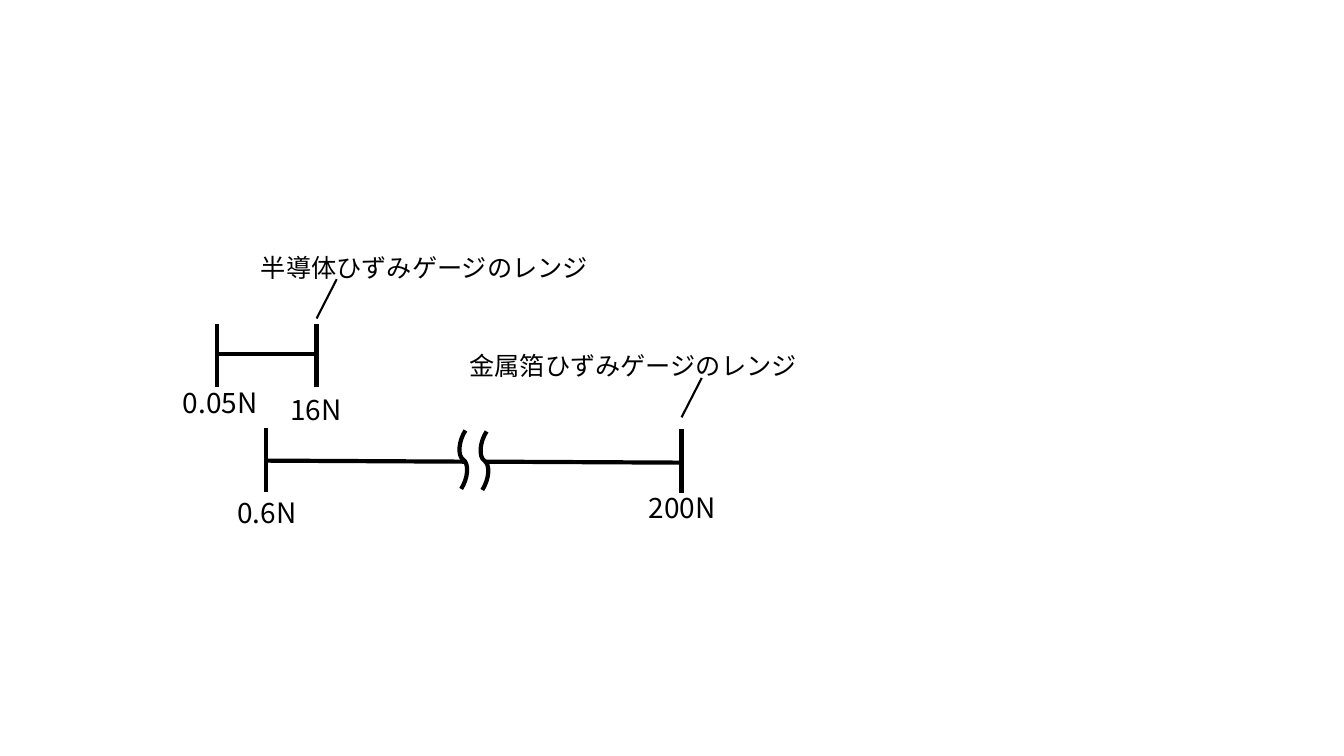
from dataclasses import dataclass

from lxml.etree import SubElement
from pptx import Presentation
from pptx.dml.color import RGBColor
from pptx.enum.shapes import MSO_CONNECTOR
from pptx.enum.text import MSO_AUTO_SIZE, PP_ALIGN
from pptx.oxml.ns import qn
from pptx.util import Inches, Pt


@dataclass(frozen=True)
class Theme:
    font: str = "Noto Sans CJK JP"
    ink: RGBColor = RGBColor(0, 0, 0)
    title_size: int = 18
    value_size: int = 20
    range_width: float = 3
    leader_width: float = 1.5


class Diagram:
    def __init__(self, slide, theme):
        self.s, self.theme = slide, theme

    def line(self, x1, y1, x2, y2, width, kind=MSO_CONNECTOR.STRAIGHT):
        sp = self.s.shapes.add_connector(
            kind, Inches(x1), Inches(y1), Inches(x2), Inches(y2))
        sp.line.color.rgb = self.theme.ink
        sp.line.width = Pt(width)
        SubElement(sp._element.spPr, qn("a:effectLst"))
        return sp

    def bar(self, x1, y1, x2, y2):
        self.line(x1, y1, x2, y2, self.theme.range_width)

    def tick(self, x, top):
        self.bar(x, top + 0.63, x, top)

    def leader(self, x, y):
        self.line(x, y, x + 0.2, y - 0.39, self.theme.leader_width)

    def break_mark(self, x, y):
        """Curved connector turned about its own centre."""
        sp = self.line(x, y + 0.28, x + 0.51, y, self.theme.range_width,
                       MSO_CONNECTOR.CURVE)
        sp._element.spPr.find(qn("a:xfrm")).set("rot", str(123 * 60000))

    def text(self, content, x, y, w, h, size):
        sp = self.s.shapes.add_textbox(Inches(x), Inches(y), Inches(w), Inches(h))
        tf = sp.text_frame
        frame_format = {"word_wrap": True, "auto_size": MSO_AUTO_SIZE.SHAPE_TO_FIT_TEXT}
        for name, value in frame_format.items():
            setattr(tf, name, value)
        p = tf.paragraphs[0]
        p.alignment = PP_ALIGN.CENTER
        r = p.add_run()
        r.text = content
        for name, value in {"name": self.theme.font, "size": Pt(size)}.items():
            setattr(r.font, name, value)
        r.font.color.rgb = self.theme.ink
        SubElement(r._r.get_or_add_rPr(), qn("a:ea"), typeface=self.theme.font)

    def title(self, content, x, y):
        self.text(content, x, y, 4.66, 0.4, self.theme.title_size)

    def value(self, content, x, y, w):
        self.text(content, x, y, w, 0.44, self.theme.value_size)


prs = Presentation()
prs.slide_width, prs.slide_height = Inches(13.33), Inches(7.5)
d = Diagram(prs.slides.add_slide(prs.slide_layouts[6]), Theme())

# Range ends
for x, top in [(2.15, 3.21), (3.14, 3.21), (2.64, 4.25), (6.76, 4.26)]:
    d.tick(x, top)

# Range bars, the lower one in two parts
for ends in [(2.15, 3.51, 3.14, 3.51),
             (2.64, 4.57, 4.6, 4.58),
             (4.81, 4.58, 6.76, 4.59)]:
    d.bar(*ends)

# Break in the lower bar
for x, y in [(4.34, 4.42), (4.55, 4.43)]:
    d.break_mark(x, y)

# Range names with leaders
for gauge, x, y, leader_x, leader_y in [("半導体", 1.88, 2.45, 3.14, 3.16),
                                        ("金属箔", 3.95, 3.43, 6.76, 4.14)]:
    d.title(gauge + "ひずみゲージのレンジ", x, y)
    d.leader(leader_x, leader_y)

# Limit values
for content, x, y, w in [("0.05N", 1.67, 3.78, 1.03), ("16N", 2.72, 3.84, 0.83),
                         ("0.6N", 2.22, 4.87, 0.85), ("200N", 6.28, 4.82, 0.97)]:
    d.value(content, x, y, w)

prs.save("out.pptx")
